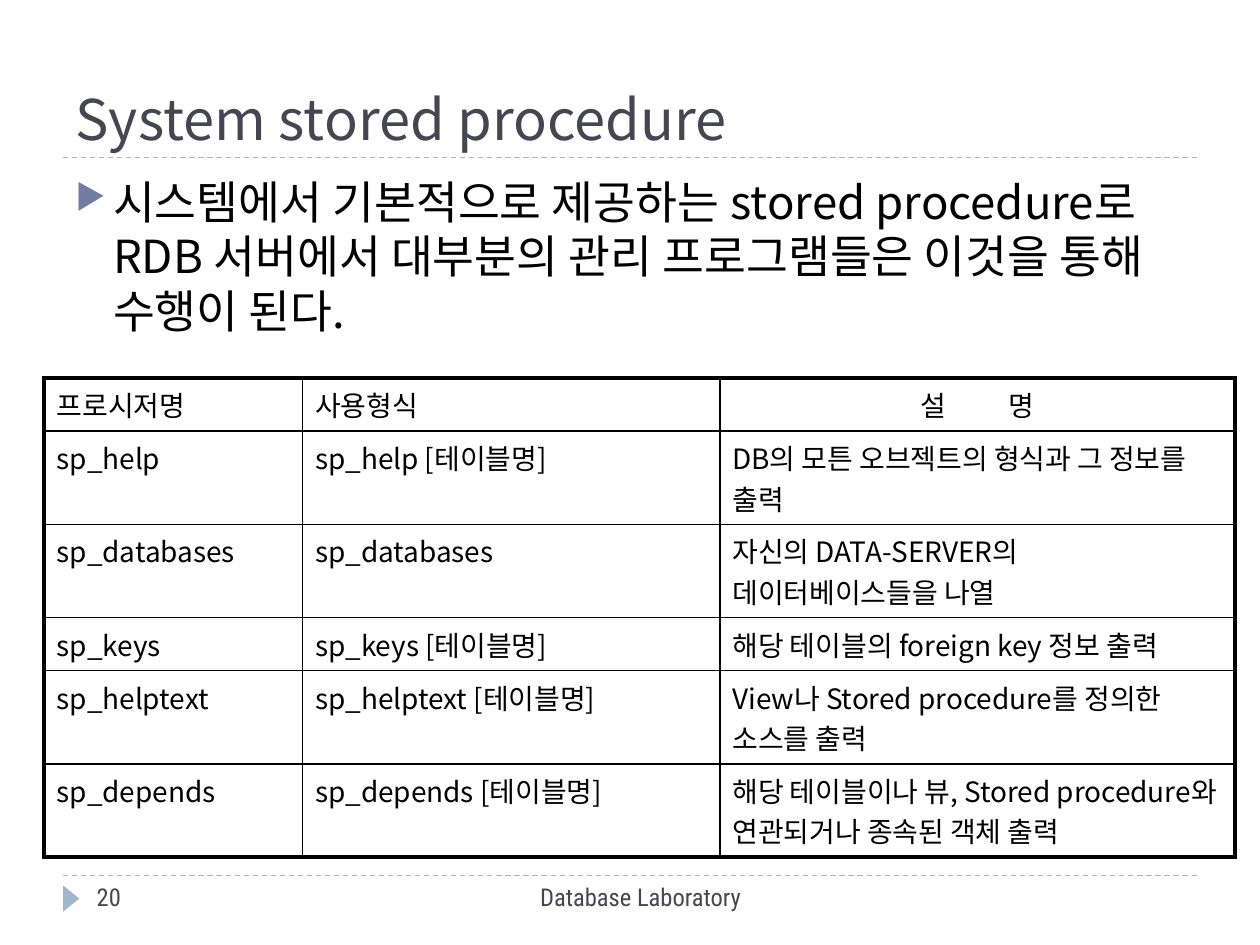
from lxml.etree import SubElement
from pptx import Presentation
from pptx.dml.color import RGBColor
from pptx.enum.dml import MSO_LINE
from pptx.enum.shapes import MSO_CONNECTOR, MSO_SHAPE
from pptx.enum.text import MSO_ANCHOR, PP_ALIGN
from pptx.oxml.ns import qn
from pptx.util import Cm, Pt

COLORS = {"text": "000000", "heading": "464653", "bullet": "727CA3",
          "accent": "9FB8CD", "border": "000000"}
BODY_FONT = "Noto Sans CJK KR"
FOOTER_FONT = "Roboto Condensed"
THICK, THIN = 2.25, 1

COLUMN_WIDTHS = [5.21, 8.41, 10.39]
ROW_HEIGHTS = [1.07, 1.88, 1.88, 1.07, 1.88, 1.88]
ROWS = [
    ["프로시저명", "사용형식", "설 명"],
    ["sp_help", "sp_help [테이블명]", "DB의 모튼 오브젝트의 형식과 그 정보를 출력"],
    ["sp_databases", "sp_databases", "자신의 DATA-SERVER의 데이터베이스들을 나열"],
    ["sp_keys", "sp_keys [테이블명]", "해당 테이블의 foreign key 정보 출력"],
    ["sp_helptext", "sp_helptext [테이블명]", "View나 Stored procedure를 정의한 소스를 출력"],
    ["sp_depends", "sp_depends [테이블명]",
     "해당 테이블이나 뷰, Stored procedure와 연관되거나 종속된 객체 출력"],
]


def color(name):
    return RGBColor.from_string(COLORS[name])


def write(para, text, size=16, font=BODY_FONT, fill="text", align=PP_ALIGN.LEFT, spacing=0):
    """Add a formatted span; spacing is the extra points after each letter."""
    para.alignment = align
    span = para.add_run()
    span.text = text
    span.font.size = Pt(size)
    span.font.name = font
    span.font.color.rgb = color(fill)
    properties = span.font._element
    SubElement(properties, qn("a:ea"), typeface=font)
    if spacing:
        properties.set("spc", str(spacing * 100))


def add_text_box(page, left, top, width, height):
    box = page.shapes.add_textbox(Cm(left), Cm(top), Cm(width), Cm(height))
    box.text_frame.word_wrap = True
    return box.text_frame


def add_rule(page, left, top, width):
    rule = page.shapes.add_connector(MSO_CONNECTOR.STRAIGHT, Cm(left), Cm(top),
                                     Cm(left + width), Cm(top))
    rule.line.color.rgb = color("accent")
    rule.line.width = Pt(0.75)
    rule.line.dash_style = MSO_LINE.DASH
    SubElement(rule._element.spPr, qn("a:effectLst"))


def add_heading(page, left, top, width, height):
    title = page.shapes.title
    title.left, title.top, title.width, title.height = map(Cm, (left, top, width, height))
    frame = title.text_frame
    frame.vertical_anchor = MSO_ANCHOR.BOTTOM
    write(frame.paragraphs[0], "System stored procedure", size=32, fill="heading")
    add_rule(page, left, top + height, width)


def add_bullet(para, indent, symbol):
    properties = para._p.get_or_add_pPr()
    properties.set("marL", str(Cm(indent)))
    properties.set("indent", str(-Cm(indent)))
    bullet_color = SubElement(properties, qn("a:buClr"))
    SubElement(bullet_color, qn("a:srgbClr"), val=COLORS["bullet"])
    SubElement(properties, qn("a:buSzPct"), val="76000")
    SubElement(properties, qn("a:buChar"), char=symbol)


def add_summary(page, left, top, width, height):
    para = add_text_box(page, left, top, width, height).paragraphs[0]
    add_bullet(para, 0.76, "▶")
    write(para, "시스템에서 기본적으로 제공하는 stored procedure로 RDB 서버에서 "
                "대부분의 관리 프로그램들은 이것을 통해 수행이 된다.", size=26)


def set_borders(cell, **widths):
    properties = cell._tc.get_or_add_tcPr()
    for side, width in widths.items():
        line = SubElement(properties, qn(f"a:ln{side}"), w=str(Pt(width)))
        fill = SubElement(line, qn("a:solidFill"))
        SubElement(fill, qn("a:srgbClr"), val=COLORS["border"])


def add_procedure_table(page, left, top):
    table = page.shapes.add_table(
        len(ROWS), len(COLUMN_WIDTHS), Cm(left), Cm(top),
        Cm(sum(COLUMN_WIDTHS)), Cm(sum(ROW_HEIGHTS))).table
    table.first_row = table.horz_banding = False
    for column, width in zip(table.columns, COLUMN_WIDTHS):
        column.width = Cm(width)
    last_row, last_column = len(ROWS) - 1, len(COLUMN_WIDTHS) - 1
    for r, texts in enumerate(ROWS):
        table.rows[r].height = Cm(ROW_HEIGHTS[r])
        for c, text in enumerate(texts):
            cell = table.cell(r, c)
            set_borders(cell,
                        L=THICK if c == 0 else THIN,
                        R=THICK if c == last_column else THIN,
                        T=THICK if r == 0 else THIN,
                        B=THICK if r == last_row else THIN)
            cell.fill.background()
            para = cell.text_frame.paragraphs[0]
            if (r, c) == (0, last_column):
                first, second = text.split()
                write(para, first + " ", align=PP_ALIGN.CENTER, spacing=16)
                write(para, second, align=PP_ALIGN.CENTER)
            else:
                write(para, text)


def add_footer(page, left, top, width):
    add_rule(page, left, top, width)
    marker = page.shapes.add_shape(MSO_SHAPE.ISOSCELES_TRIANGLE, Cm(left - 0.1),
                                   Cm(top + 0.3), Cm(0.53), Cm(0.33))
    marker.rotation = 90
    marker.shadow.inherit = False
    marker.fill.solid()
    marker.fill.fore_color.rgb = color("accent")
    marker.line.fill.background()
    for text, offset, box_width, align in (
            ("Database Laboratory", 6.78, 9.73, PP_ALIGN.CENTER),
            ("20", 0.43, 5.51, PP_ALIGN.LEFT)):
        frame = add_text_box(page, left + offset, top, box_width, 1.02)
        write(frame.paragraphs[0], text, size=14, font=FOOTER_FONT,
              fill="heading", align=align)


def main():
    deck = Presentation()
    deck.slide_width, deck.slide_height = Cm(25.4), Cm(19.05)
    page = deck.slides.add_slide(deck.slide_layouts[5])
    add_heading(page, 1.27, 0.43, 22.86, 2.75)
    add_summary(page, 1.27, 3.38, 22.86, 13.72)
    add_procedure_table(page, 0.89, 7.62)
    add_footer(page, 1.27, 17.65, 22.86)
    deck.save("out.pptx")


if __name__ == "__main__":
    main()
